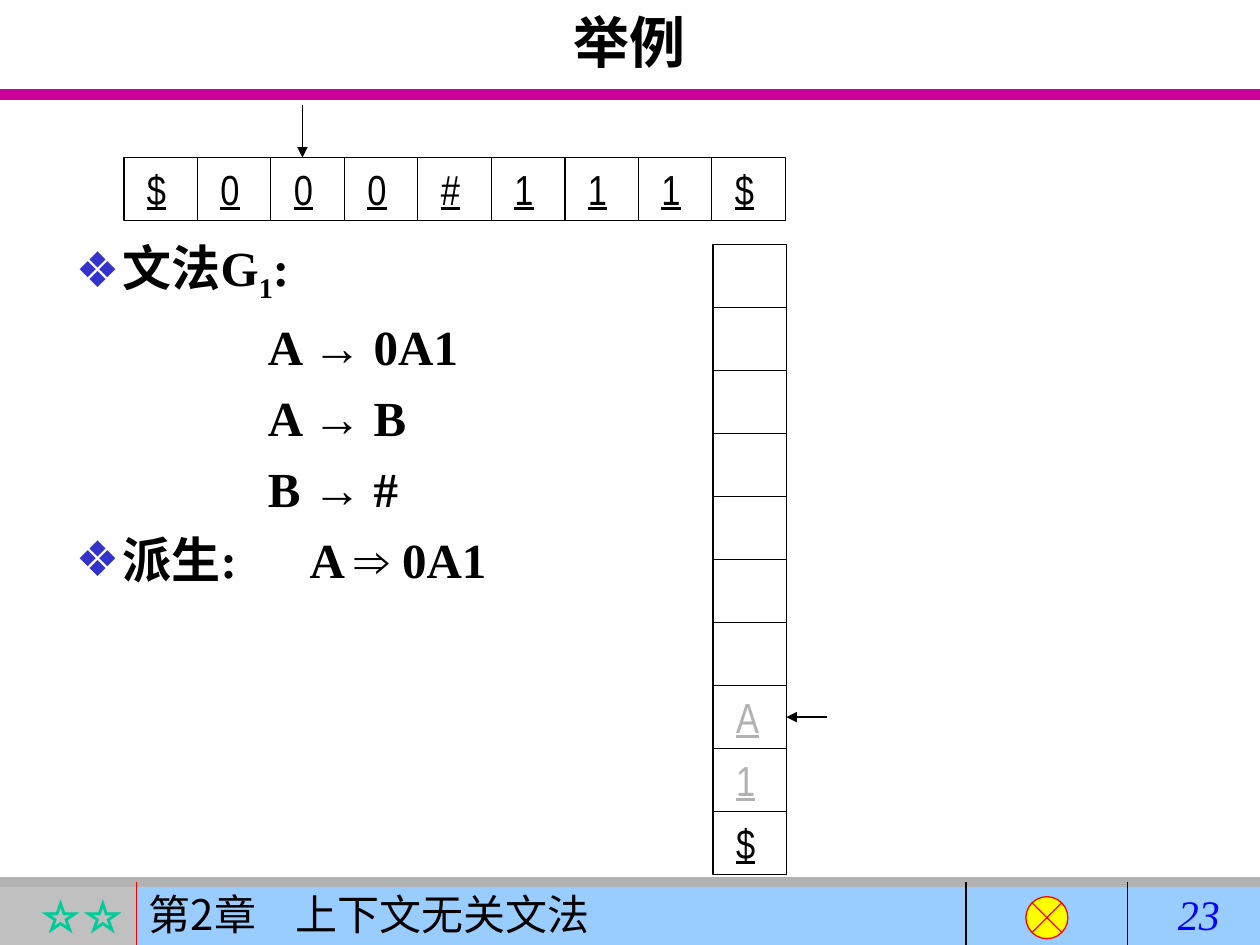
from lxml import etree
from pptx import Presentation
from pptx import util as u
from pptx.dml.color import RGBColor
from pptx.enum import shapes, text
from pptx.oxml.ns import qn

PX = 7620
COLORS = {
    "ink": "000000", "rule": "CC0099", "grey": "B2B2B2", "corner": "C0C0C0",
    "footer": "99CCFF", "star": "00CC99", "red": "FF0000", "yellow": "FFFF00",
    "number": "0000FF", "bullet": "3333CC",
}
SERIF = "Times New Roman"
CELL_W, CELL_H = 70, 60


def px(*lengths):
    return [u.Emu(length * PX) for length in lengths]


def color(name):
    return RGBColor.from_string(COLORS[name])


def set_font(para, size, face, ink="ink", **styles):
    para.font.size = u.Pt(size)
    para.font.name = face
    para.font.color.rgb = color(ink)
    for style, value in styles.items():
        setattr(para.font, style, value)


def set_frame(shape, left_inset=12):
    frame = shape.text_frame
    frame.word_wrap = True
    frame.auto_size = text.MSO_AUTO_SIZE.NONE
    frame.vertical_anchor = text.MSO_ANCHOR.TOP
    frame.margin_left, frame.margin_top = px(left_inset, 6)
    frame.margin_right, frame.margin_bottom = px(12, 6)
    return frame


def place(shape, box):
    shape.left, shape.top, shape.width, shape.height = px(*box)


def add_shape(parent, kind, box, fill=None, line=None):
    shape = parent.add_shape(kind, *px(*box))
    shape.shadow.inherit = False
    if fill:
        shape.fill.solid()
        shape.fill.fore_color.rgb = color(fill)
    else:
        shape.fill.background()
    if line:
        shape.line.color.rgb = color(line)
        shape.line.width = u.Pt(0.75)
    else:
        shape.line.fill.background()
    return shape


def add_line(parent, start, end, ink="ink", width=0.75, arrow=False):
    line = parent.add_connector(shapes.MSO_CONNECTOR.STRAIGHT, *px(*start, *end))
    line.line.color.rgb = color(ink)
    line.line.width = u.Pt(width)
    if arrow:
        etree.SubElement(line.line._get_or_add_ln(), qn("a:tailEnd"), type="triangle")
    etree.SubElement(line._element.spPr, qn("a:effectLst"))
    return line


def add_tab(para, position):
    tabs = etree.SubElement(para._p.get_or_add_pPr(), qn("a:tabLst"))
    etree.SubElement(tabs, qn("a:tab"), pos=str(position * PX), algn="l")


def set_indent(para, margin, hanging=0):
    properties = para._p.get_or_add_pPr()
    properties.set("marL", str(margin * PX))
    properties.set("indent", str(-hanging * PX))


def set_bullet(para, mark=None):
    properties = para._p.get_or_add_pPr()
    if mark is None:
        etree.SubElement(properties, qn("a:buNone"))
        return
    tint = etree.SubElement(properties, qn("a:buClr"))
    etree.SubElement(tint, qn("a:srgbClr"), val=COLORS["bullet"])
    etree.SubElement(properties, qn("a:buChar"), char=mark)


def add_title(slide, box):
    title = slide.shapes.title
    place(title, box)
    para = set_frame(title).paragraphs[0]
    para.text = "举例"
    para.alignment = text.PP_ALIGN.CENTER
    set_font(para, 32, SERIF, bold=True)


def add_grammar(slide, box):
    body = slide.placeholders[1]
    place(body, box)
    frame = set_frame(body)
    lines = [
        (True, ["文法G", "1", ":"]),
        (False, ["A ", "→", " 0A1"]),
        (False, ["A ", "→", " B"]),
        (False, ["B ", "→", " #"]),
        (True, ["派生:\tA ", "⇒", " 0A1"]),
    ]
    for index, (bulleted, parts) in enumerate(lines):
        para = frame.add_paragraph() if index else frame.paragraphs[0]
        para.space_before = u.Pt(7 if index else 0)
        if bulleted:
            set_indent(para, 45, 45)
            set_bullet(para, "❖")
        else:
            set_indent(para, 183)
            set_bullet(para)
        if "\t" in parts[0]:
            add_tab(para, 223)
        set_font(para, 28, SERIF, bold=True)
        for part in parts:
            span = para.add_run()
            span.text = part
            if part in "→⇒":
                span.font.name = "Arial"
            elif part == "1":
                span.font._element.set("baseline", "-25000")


def add_cell(group, left, top, symbol, ink):
    cell = add_shape(group, shapes.MSO_SHAPE.RECTANGLE,
                     (left, top, CELL_W, CELL_H), line="ink")
    if symbol:
        para = set_frame(cell, 22).paragraphs[0]
        para.text = symbol
        para.alignment = text.PP_ALIGN.LEFT
        set_font(para, 24, "Arial Narrow", ink, underline=True)
    return cell


def add_tape(slide, left, top):
    group = slide.shapes.add_group_shape().shapes
    for index, symbol in enumerate("$000#111$"):
        add_cell(group, left + index * CELL_W, top, symbol, "ink")
    add_line(group, (left + 170, top - 50), (left + 170, top), arrow=True)


def add_stack(slide, left, top):
    group = slide.shapes.add_group_shape().shapes
    cells = [add_cell(group, left, top + index * CELL_H, symbol,
                      "ink" if symbol == "$" else "grey")
             for index, symbol in enumerate([""] * 7 + ["A", "1", "$"])]
    middle = top + 7 * CELL_H + CELL_H // 2
    right = left + CELL_W
    pointer = add_line(group, (right + 39, middle), (right, middle), arrow=True)
    pointer.end_connect(cells[7], 3)


def add_footer(slide, left, top, width, height):
    parent = slide.shapes
    split = left + 130
    corner = add_shape(parent, shapes.MSO_SHAPE.RECTANGLE,
                       (left, top, 130, height), "corner")
    chapter = add_shape(parent, shapes.MSO_SHAPE.RECTANGLE,
                        (split, top, width - 130, height), "footer")
    number = parent.add_textbox(*px(left + 1110, top, 90, height))
    labels = [
        (corner, "☆☆", text.PP_ALIGN.RIGHT, SERIF, "star", {"bold": True}),
        (chapter, "第2章\t上下文无关文法", text.PP_ALIGN.LEFT, "Noto Sans CJK SC", "ink", {}),
        (number, "23", text.PP_ALIGN.LEFT, SERIF, "number", {"italic": True}),
    ]
    for shape, words, alignment, face, ink, styles in labels:
        para = set_frame(shape).paragraphs[0]
        para.text = words
        para.alignment = alignment
        if "\t" in words:
            add_tab(para, 140)
        set_font(para, 24, face, ink, **styles)
    add_line(parent, (left, top), (left + width, top), "grey", 6)
    for x, ink in ((split, "red"), (left + 920, "ink"), (left + 1074, "ink")):
        add_line(parent, (x, top), (x, top + height), ink)
    add_shape(parent, shapes.MSO_SHAPE.FLOWCHART_SUMMING_JUNCTION,
              (left + 977, top + 14, 40, 40), "yellow", "red")


def main():
    deck = Presentation()
    deck.slide_width, deck.slide_height = px(1200, 900)
    slide = deck.slides.add_slide(deck.slide_layouts[1])
    add_line(slide.shapes, (0, 90), (1200, 90), "rule", 6)
    add_footer(slide, 0, 840, 1200, 60)
    add_title(slide, (90, 1, 1020, 150))
    add_grammar(slide, (60, 220, 625, 610))
    add_tape(slide, 118, 150)
    add_stack(slide, 679, 233)
    deck.save("out.pptx")


if __name__ == "__main__":
    main()
